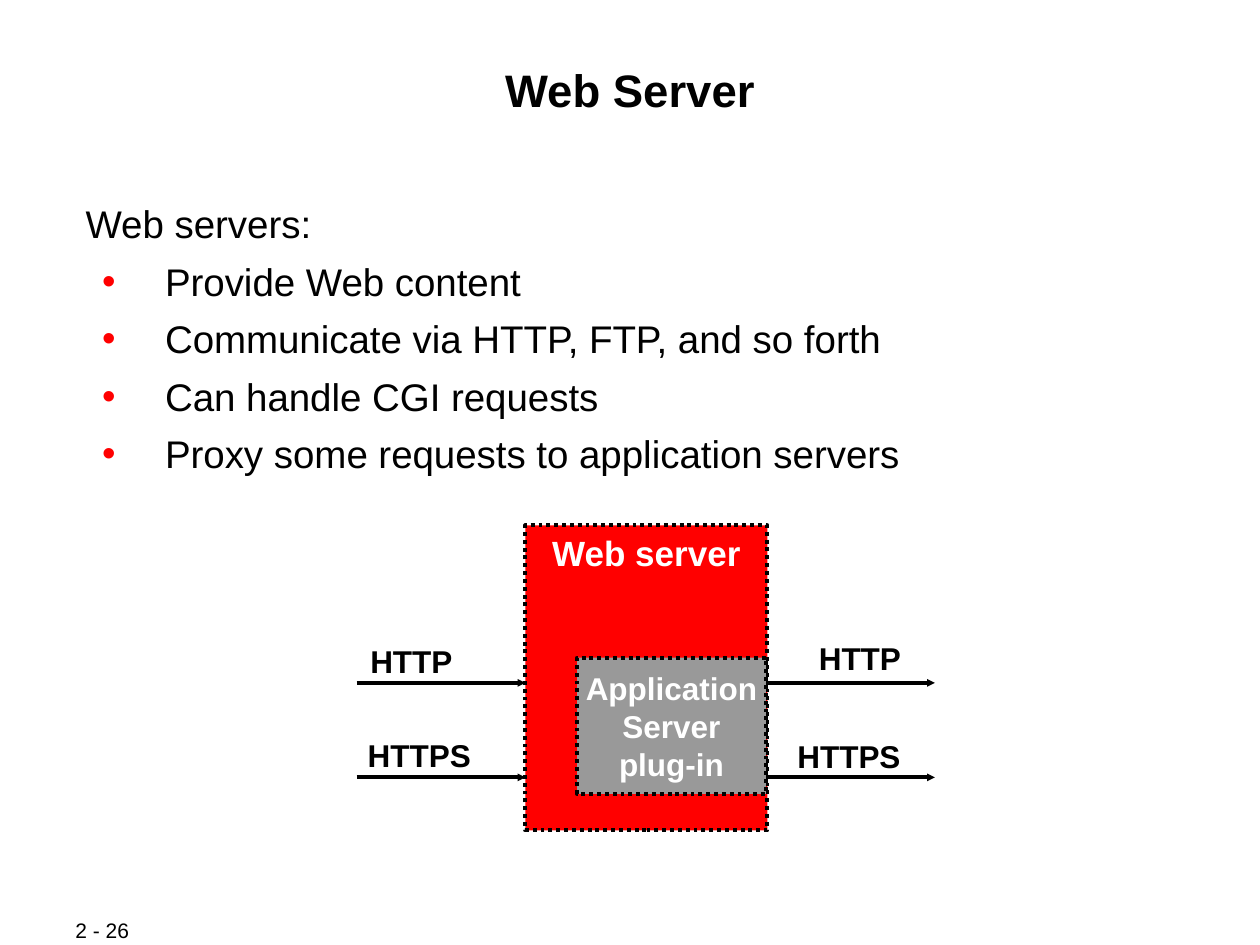
from lxml import etree
from pptx import Presentation
from pptx.dml.color import RGBColor
from pptx.enum.dml import MSO_LINE
from pptx.enum.shapes import MSO_CONNECTOR, MSO_SHAPE
from pptx.enum.text import MSO_ANCHOR, MSO_AUTO_SIZE, PP_ALIGN
from pptx.oxml.ns import qn
from pptx.util import Inches, Pt

CENTER, LEFT, JUSTIFY = PP_ALIGN.CENTER, PP_ALIGN.LEFT, PP_ALIGN.JUSTIFY
TOP, MIDDLE = MSO_ANCHOR.TOP, MSO_ANCHOR.MIDDLE
DOTTED = MSO_LINE.ROUND_DOT

# Content
TITLE = "Web Server"
INTRO = "Web servers:"
BULLETS = [
    "Provide Web content",
    "Communicate via HTTP, FTP, and so forth",
    "Can handle CGI requests",
    "Proxy some requests to application servers",
]
PAGE_LABEL = "2 - 26"
SERVER = ["Web server"]
PLUGIN = ["Application", "Server", "plug-in"]
LABELS = [  # text, left, top, width
    ("HTTP", 2.84, 5.05, 0.85),
    ("HTTPS", 2.82, 5.79, 1.02),
    ("HTTP ", 6.4, 5.02, 0.92),
    ("HTTPS ", 6.23, 5.8, 1.09),
]
LABEL_HEIGHT = 0.7
ARROW_STARTS = (2.83, 6.08)
ARROW_ROWS = (5.42, 6.17)
ARROW_LENGTH = 1.34

THEME = {
    "font": "Arial",
    "black": RGBColor(0, 0, 0),
    "white": RGBColor(255, 255, 255),
    "red": RGBColor(255, 0, 0),
    "gray": RGBColor(0x99, 0x99, 0x99),
    "title": Pt(26), "body": Pt(22), "server": Pt(20),
    "label": Pt(18), "page": Pt(12),
    "line": Pt(2.24),
}


def apply(target, **values):
    for name, value in values.items():
        setattr(target, name, value)


def place(shape, left, top, width, height):
    apply(shape, left=Inches(left), top=Inches(top),
          width=Inches(width), height=Inches(height))


def write(shape, lines, size, color="black", bold=False, align=LEFT,
          anchor=TOP, wrap=False, insets=(0.1, 0.05), before=0):
    frame = shape.text_frame
    across, down = (Inches(inset) for inset in insets)
    apply(frame, word_wrap=wrap, auto_size=MSO_AUTO_SIZE.NONE,
          vertical_anchor=anchor, margin_left=across, margin_right=across,
          margin_top=down, margin_bottom=down)
    for index, line in enumerate(lines):
        para = frame.paragraphs[0] if index == 0 else frame.add_paragraph()
        apply(para, alignment=align, space_before=Pt(before))
        span = para.add_run()
        span.text = line
        apply(span.font, name=THEME["font"], size=THEME[size], bold=bold)
        span.font.color.rgb = THEME[color]
    return frame.paragraphs


def set_bullet(para):
    para.level = 1
    props = para._p.get_or_add_pPr()
    props.set("marL", str(Inches(0.63)))
    props.set("indent", str(Inches(-0.5)))
    color = etree.SubElement(props, qn("a:buClr"))
    etree.SubElement(color, qn("a:srgbClr"), val=str(THEME["red"]))
    etree.SubElement(props, qn("a:buFont"), typeface=THEME["font"])
    etree.SubElement(props, qn("a:buChar"), char="•")


def clear_bullet(para):
    props = para._p.get_or_add_pPr()
    props.set("marL", "0")
    props.set("indent", "0")
    etree.SubElement(props, qn("a:buNone"))


def add_block(page, lines, box, fill, size, anchor):
    block = page.shapes.add_shape(
        MSO_SHAPE.RECTANGLE, *(Inches(value) for value in box))
    block.shadow.inherit = False
    block.fill.solid()
    block.fill.fore_color.rgb = THEME[fill]
    block.line.color.rgb = THEME["black"]
    apply(block.line, width=THEME["line"], dash_style=DOTTED)
    write(block, lines, size, "white", True, CENTER, anchor)


def add_text(page, text, box, size, **style):
    label = page.shapes.add_textbox(*(Inches(value) for value in box))
    write(label, [text], size, **style)


def add_arrow(page, left, row):
    arrow = page.shapes.add_connector(
        MSO_CONNECTOR.STRAIGHT, Inches(left), Inches(row),
        Inches(left + ARROW_LENGTH), Inches(row))
    arrow.line.color.rgb = THEME["black"]
    arrow.line.width = THEME["line"]
    etree.SubElement(arrow.line._get_or_add_ln(), qn("a:tailEnd"),
                     type="triangle", w="sm", len="sm")
    etree.SubElement(arrow._element.spPr, qn("a:effectLst"))


deck = Presentation()
apply(deck, slide_width=Inches(10), slide_height=Inches(7.5))
page = deck.slides.add_slide(deck.slide_layouts[1])

# Title and list
title, body = page.shapes.title, page.placeholders[1]
place(title, 0.67, 0.48, 8.66, 0.96)
write(title, [TITLE], "title", bold=True, align=CENTER, wrap=True,
      insets=(0.01, 0.01), before=6.5)
place(body, 0.67, 1.58, 8.66, 2.17)
intro, *items = write(body, [INTRO, *BULLETS], "body", wrap=True,
                      insets=(0.01, 0.01), before=6.5)
clear_bullet(intro)
for item in items:
    set_bullet(item)

# Page label
add_text(page, PAGE_LABEL, (0.5, 7.28, 1.06, 0.2), "page",
         align=JUSTIFY, anchor=MIDDLE)

# Server diagram
add_block(page, SERVER, (4.17, 4.17, 1.92, 2.42), "red", "server", TOP)
add_block(page, PLUGIN, (4.58, 5.22, 1.5, 1.08), "gray", "label", MIDDLE)
for text, left, top, width in LABELS:
    add_text(page, text, (left, top, width, LABEL_HEIGHT), "label", bold=True)
for start in ARROW_STARTS:
    for row in ARROW_ROWS:
        add_arrow(page, start, row)

deck.save("out.pptx")
